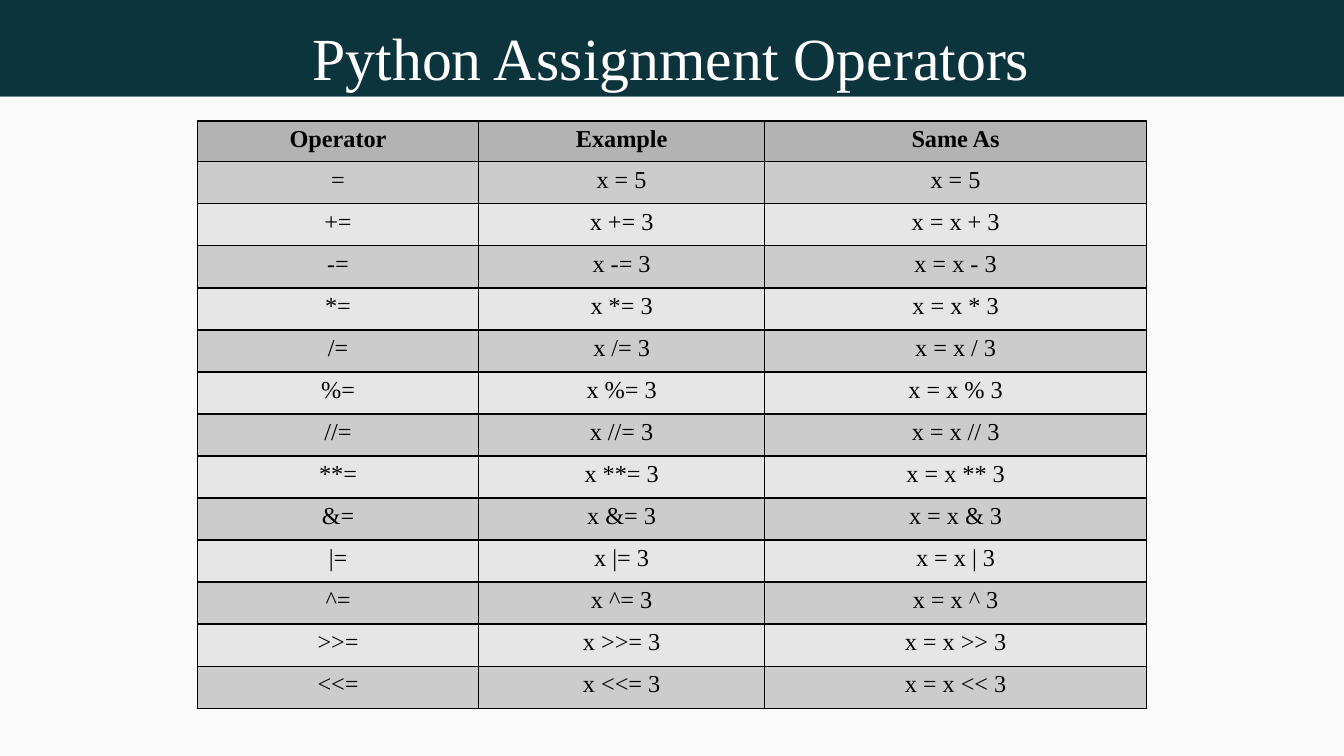
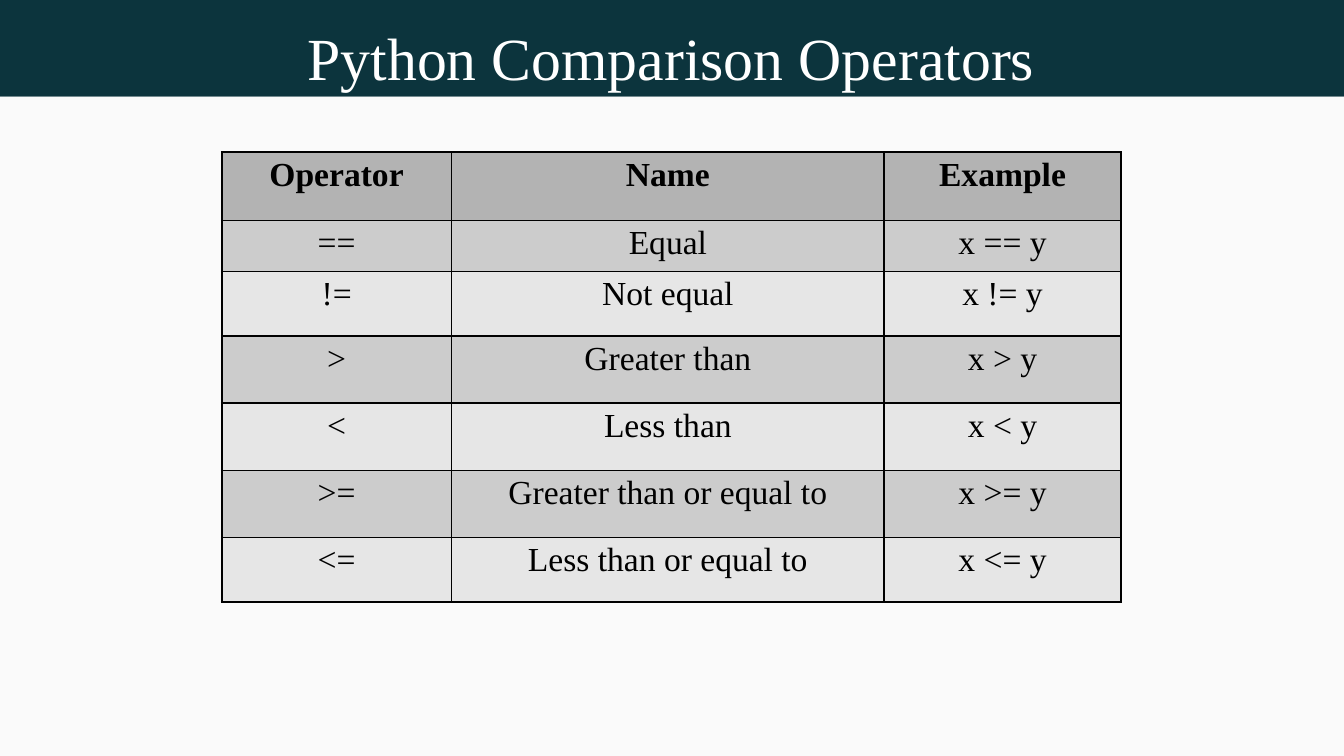
from dataclasses import dataclass

from pptx import Presentation
from pptx.dml.color import RGBColor
from pptx.enum.shapes import MSO_SHAPE as Shape
from pptx.enum.text import MSO_ANCHOR as Anchor, PP_ALIGN as Align
from pptx.oxml import parse_xml
from pptx.oxml.ns import nsdecls
from pptx.util import Inches, Pt


@dataclass(frozen=True)
class Theme:
    band: str = "0C343D"
    page: str = "FAFAFA"
    light: str = "FFFFFF"
    ink: str = "000000"
    head: str = "B3B3B3"
    odd: str = "CCCCCC"
    even: str = "E6E6E6"
    font: str = "Times New Roman"
    title: int = 32
    small: int = 13
    large: int = 18
    lead: float = 0.93
    rule: float = 0.96


THEME = Theme()
WIDE, HIGH = Inches(10), Inches(5.625)
STEP = WIDE / 100  # one square of the page grid
BAND = 7.2  # rows of the grid under the title band
FULL = HIGH / STEP


def grid(*counts):
    """Turn counts of grid squares into lengths."""
    return [round(n * STEP) for n in counts]


def paint(fill, color):
    fill.solid()
    fill.fore_color.rgb = RGBColor.from_string(color)


def write(frame, text, size, color=THEME.ink, bold=False, lead=None):
    par = frame.paragraphs[0]
    par.alignment = Align.CENTER
    if lead:
        par.line_spacing = lead
    run = par.add_run()
    run.text = text
    font = run.font
    font.name, font.size, font.bold = THEME.font, Pt(size), bold
    font.color.rgb = RGBColor.from_string(color)


def block(slide, top, high, color):
    box = slide.shapes.add_shape(Shape.RECTANGLE, *grid(0, top, 100, high))
    box.shadow.inherit = False
    paint(box.fill, color)
    box.line.fill.background()


def title(slide, text):
    frame = slide.shapes.add_textbox(*grid(3.9, 1.5, 92.1, 5.4)).text_frame
    frame.margin_left = frame.margin_right = 0
    frame.margin_top = frame.margin_bottom = 0
    frame.word_wrap = True
    frame.vertical_anchor = Anchor.BOTTOM
    write(frame, text, THEME.title, THEME.light)


def border(cell):
    props = cell._tc.get_or_add_tcPr()
    for side in "LRTB":
        props.append(parse_xml(
            f'<a:ln{side} {nsdecls("a")} w="{Pt(THEME.rule)}"><a:solidFill>'
            f'<a:srgbClr val="{THEME.ink}"/></a:solidFill></a:ln{side}>'))


def shade(row):
    if row == 0:
        return THEME.head
    return THEME.odd if row % 2 else THEME.even


def table(slide, data, left, top, cols, rows, size):
    area = grid(left, top, sum(cols), sum(rows))
    tab = slide.shapes.add_table(len(rows), len(cols), *area).table
    tab.first_row = tab.horz_banding = False
    for col, wide in zip(tab.columns, grid(*cols)):
        col.width = wide
    for row, high in zip(tab.rows, grid(*rows)):
        row.height = high
    for r, line in enumerate(data):
        for c, text in enumerate(line):
            cell = tab.cell(r, c)
            border(cell)
            paint(cell.fill, shade(r))
            write(cell.text_frame, text, size, bold=r == 0, lead=THEME.lead)


def page(deck, text):
    slide = deck.slides.add_slide(deck.slide_layouts[6])
    block(slide, 0, BAND, THEME.band)
    block(slide, BAND, FULL - BAND, THEME.page)
    title(slide, text)
    return slide


def assign(deck):
    signs = "+ - * / % // ** & | ^ >> <<".split()
    data = [("Operator", "Example", "Same As"), ("=", "x = 5", "x = 5")]
    data += [(f"{s}=", f"x {s}= 3", f"x = x {s} 3") for s in signs]
    rows = [3] + [3.13] * (len(data) - 1)
    slide = page(deck, "Python Assignment Operators")
    table(slide, data, 14.7, 9, [20.9, 21.3, 28.4], rows, THEME.small)


def compare(deck):
    names = {
        "==": "Equal",
        "!=": "Not equal",
        ">": "Greater than",
        "<": "Less than",
        ">=": "Greater than or equal to",
        "<=": "Less than or equal to",
    }
    data = [("Operator", "Name", "Example")]
    data += [(s, name, f"x {s} y") for s, name in names.items()]
    rows = [5.1, 3.8, 4.8, 5, 5, 5, 4.8]
    slide = page(deck, "Python Comparison Operators")
    table(slide, data, 16.5, 11.3, [17.1, 32.2, 17.6], rows, THEME.large)


def main():
    deck = Presentation()
    deck.slide_width, deck.slide_height = WIDE, HIGH
    assign(deck)
    compare(deck)
    deck.save("out.pptx")


if __name__ == "__main__":
    main()
